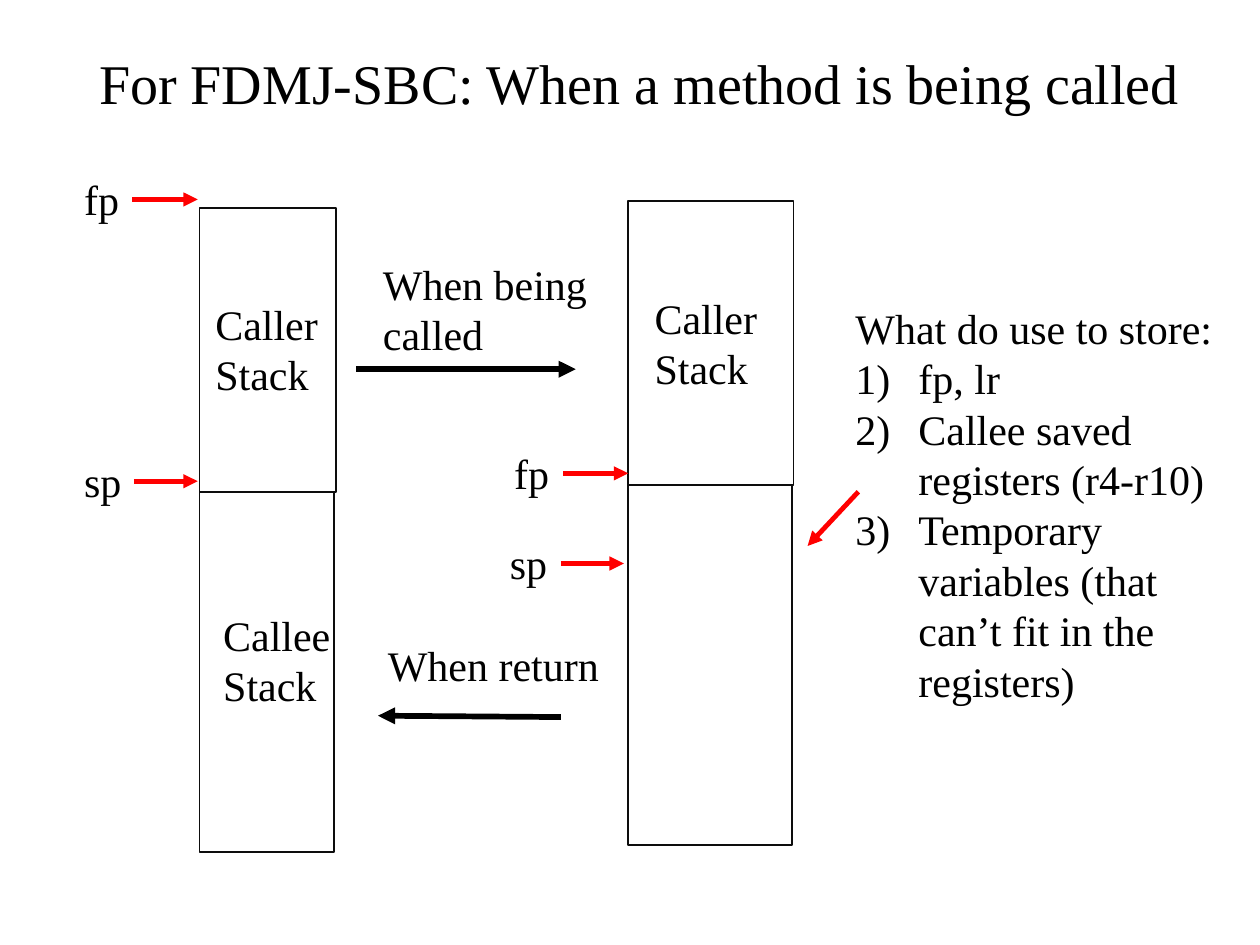
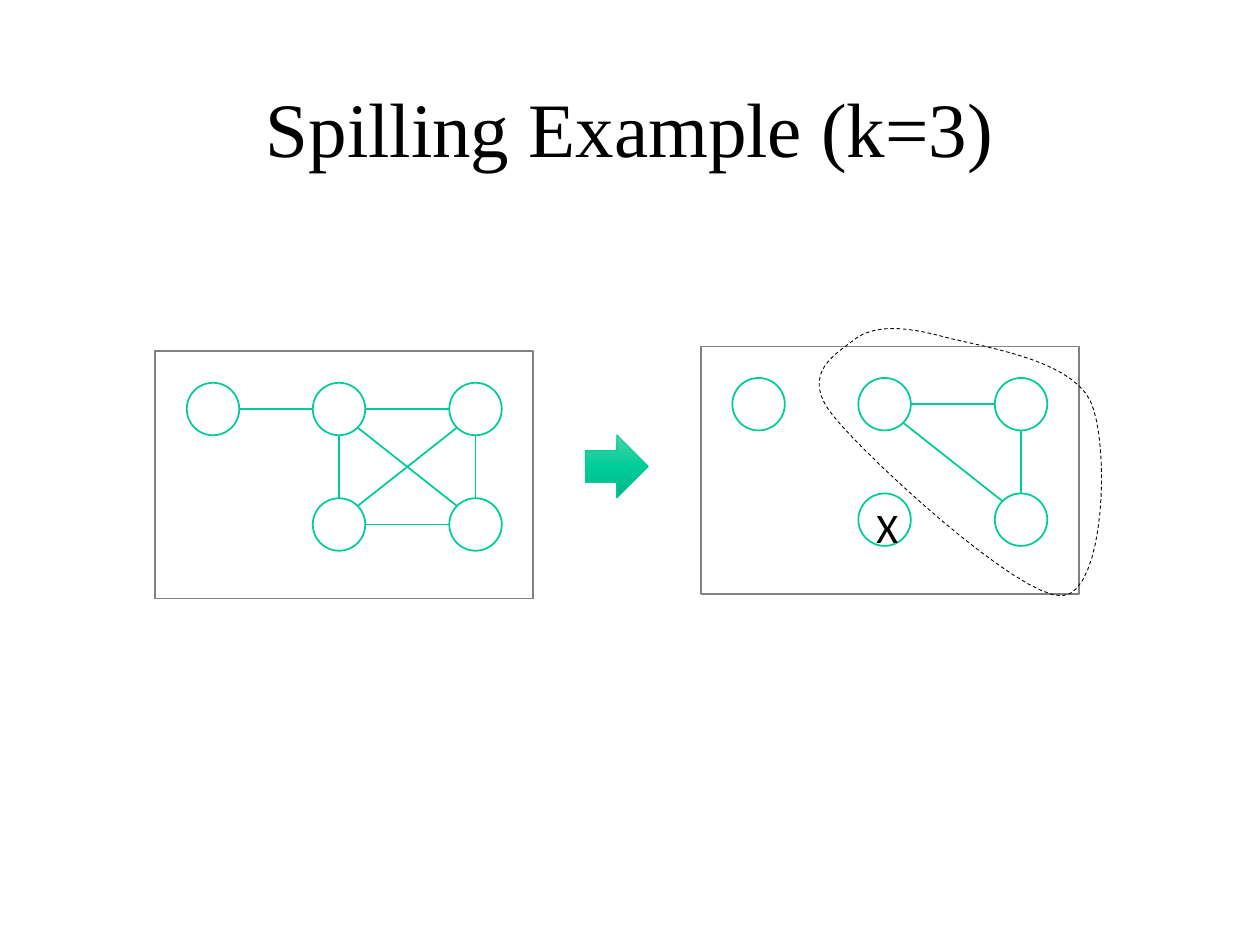
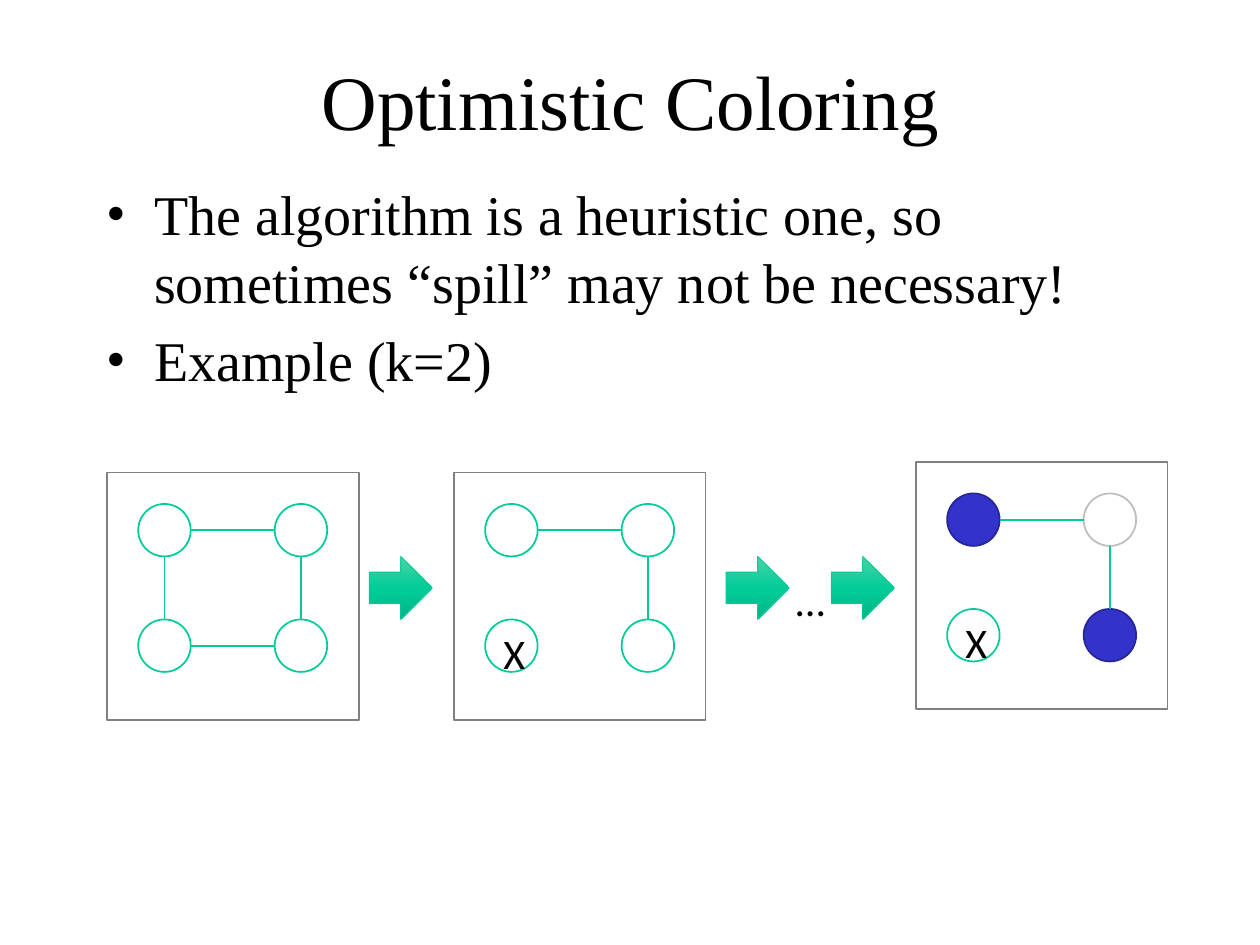
"""Build three slides on method calls, spilling and optimistic colouring."""
from copy import deepcopy
from dataclasses import dataclass
from math import copysign, hypot
from typing import Any, NamedTuple

from lxml import etree
from pptx import Presentation
from pptx.dml.color import RGBColor
from pptx.enum.dml import MSO_LINE
from pptx.enum.shapes import MSO_CONNECTOR, MSO_SHAPE
from pptx.enum.text import MSO_ANCHOR, MSO_AUTO_SIZE, PP_ALIGN
from pptx.oxml.ns import qn
from pptx.util import Pt

RECT = MSO_SHAPE.RECTANGLE
OVAL = MSO_SHAPE.OVAL
BLOCK_ARROW = MSO_SHAPE.RIGHT_ARROW
STRAIGHT = MSO_CONNECTOR.STRAIGHT
DASH = MSO_LINE.DASH
MIDDLE = MSO_ANCHOR.MIDDLE
GROW = MSO_AUTO_SIZE.SHAPE_TO_FIT_TEXT
FIXED = MSO_AUTO_SIZE.NONE
CENTER = PP_ALIGN.CENTER

COLORS = {
    "ink": "000000",
    "paper": "FFFFFF",
    "stack": "0D0D0D",
    "pointer": "FF0000",
    "panel": "808080",
    "graph": "00CC99",
    "graph_light": "4BD3A4",
    "graph_dark": "00B588",
    "blue": "3333CC",
    "blue_edge": "262697",
    "pale_edge": "BDBDBD",
}
SERIF = "Times New Roman"
SANS = "Calibri"
NODE_SIZE = 30
ROW_TOPS = (18, 84)
PANEL_HEIGHT = 141.25
CURVE_STEPS = 16


class Box(NamedTuple):
    left: float
    top: float
    width: float
    height: float


class Point(NamedTuple):
    x: float
    y: float


class Arrow(NamedTuple):
    start: Point
    end: Point
    color: str = "pointer"
    width: float = 2.75


class Paint(NamedTuple):
    fill: str
    edge: str


@dataclass(frozen=True)
class Note:
    box: Box
    lines: tuple[str, ...]
    size: float = 24
    font: str = SERIF
    wrap: bool = True
    grow: bool = True


@dataclass(frozen=True)
class Graph:
    left: float
    top: float
    width: float
    columns: tuple[float, ...]
    nodes: dict[str, tuple[int, int]]
    edges: tuple[str, ...]
    paints: dict[str, Paint]
    spilled: str = ""

    def corner(self, node: str) -> Point:
        column, row = self.nodes[node]
        return Point(self.left + self.columns[column], self.top + ROW_TOPS[row])


PLAIN_NODE = Paint("paper", "graph")
BLUE_NODE = Paint("blue", "blue_edge")
PALE_NODE = Paint("paper", "pale_edge")

SQUARE = {"a": (0, 0), "b": (1, 0), "c": (0, 1), "d": (1, 1)}
SQUARE_COLUMNS = (18, 96)
KITE = {"leaf": (0, 0), "a": (1, 0), "b": (2, 0), "c": (1, 1), "d": (2, 1)}
KITE_COLUMNS = (18, 90, 168)


def rgb(name: str) -> RGBColor:
    return RGBColor.from_string(COLORS[name])


def apply(target: Any, formats: dict[str, Any]) -> None:
    for attribute, value in formats.items():
        setattr(target, attribute, value)


def points(*lengths: float) -> tuple[Pt, ...]:
    return tuple(Pt(length) for length in lengths)


def outline(shape: Any, color: str, formats: dict[str, Any]) -> None:
    shape.line.color.rgb = rgb(color)
    apply(shape.line, formats)


def add_figure(slide: Any, kind: Any, box: Box, edge: str, fill: str = "", width: float = 1) -> Any:
    figure = slide.shapes.add_shape(kind, *points(*box))
    figure.shadow.inherit = False
    if fill:
        figure.fill.solid()
        figure.fill.fore_color.rgb = rgb(fill)
    else:
        figure.fill.background()
    outline(figure, edge, {"width": Pt(width)})
    return figure


def add_line(slide: Any, arrow: Arrow, pointed: bool = True) -> None:
    line = slide.shapes.add_connector(STRAIGHT, *points(*arrow.start, *arrow.end))
    outline(line, arrow.color, {"width": Pt(arrow.width)})
    properties = line._element.spPr
    if pointed:
        etree.SubElement(properties.find(qn("a:ln")), qn("a:tailEnd"), type="triangle")
    etree.SubElement(properties, qn("a:effectLst"))


def add_note(slide: Any, note: Note) -> Any:
    frame = slide.shapes.add_textbox(*points(*note.box)).text_frame
    frame.text = "\n".join(note.lines)
    apply(frame, {"word_wrap": note.wrap, "auto_size": GROW if note.grow else FIXED})
    for paragraph in frame.paragraphs:
        apply(paragraph.font, {"size": Pt(note.size), "name": note.font})
        paragraph.font.color.rgb = rgb("ink")
    return frame


def add_marker(paragraph: Any, indent: float, markers: dict[str, dict[str, str]]) -> None:
    properties = paragraph._p.get_or_add_pPr()
    properties.set("marL", str(Pt(indent)))
    properties.set("indent", str(-Pt(indent)))
    for tag, attributes in markers.items():
        marker = etree.Element(qn(tag), attributes)
        properties.insert_element_before(marker, "a:tabLst", "a:defRPr", "a:extLst")


def add_title(slide: Any, title: str, box: Box) -> None:
    frame = add_note(slide, Note(box, (title,), size=44, grow=False))
    frame.vertical_anchor = MIDDLE
    frame.paragraphs[0].alignment = CENTER


def add_block_arrow(slide: Any, left: float, top: float) -> None:
    arrow = add_figure(slide, BLOCK_ARROW, Box(left, top, 36, 36), "graph", width=0.5)
    arrow.fill.gradient()
    arrow.fill.gradient_angle = 270
    stop_list = arrow._element.spPr.find(".//" + qn("a:gsLst"))
    stop_list.insert(1, deepcopy(stop_list[0]))
    shades = ((0, "graph_light"), (0.5, "graph"), (1, "graph_dark"))
    for stop, (position, shade) in zip(arrow.fill.gradient_stops, shades):
        stop.position = position
        stop.color.rgb = rgb(shade)


def add_edge(slide: Any, first: Point, second: Point) -> None:
    radius = NODE_SIZE / 2
    across, down = (
        copysign(1, gap) if gap else 0 for gap in (second.x - first.x, second.y - first.y)
    )
    reach = radius / hypot(across, down)
    start = Point(first.x + radius + across * reach, first.y + radius + down * reach)
    end = Point(second.x + radius - across * reach, second.y + radius - down * reach)
    add_line(slide, Arrow(start, end, "graph", 1), pointed=False)


def add_graph(slide: Any, graph: Graph) -> None:
    panel = Box(graph.left, graph.top, graph.width, PANEL_HEIGHT)
    add_figure(slide, RECT, panel, "panel", "paper")
    for node in graph.nodes:
        paint = graph.paints.get(node, PLAIN_NODE)
        add_figure(slide, OVAL, Box(*graph.corner(node), NODE_SIZE, NODE_SIZE), paint.edge, paint.fill)
    for edge in graph.edges:
        first, second = edge.split("-")
        add_edge(slide, graph.corner(first), graph.corner(second))
    if graph.spilled:
        x, y = graph.corner(graph.spilled)
        add_note(slide, Note(Box(x + 3.25, y + 1, 26, 29), ("X",), font=SANS, wrap=False))


def add_loop(slide: Any, start: Point, curves: tuple[tuple[Point, Point, Point], ...]) -> None:
    trace = []
    origin = start
    for curve in curves:
        controls = (origin, *curve)
        for step in range(1, CURVE_STEPS + 1):
            t = step / CURVE_STEPS
            weights = ((1 - t) ** 3, 3 * t * (1 - t) ** 2, 3 * t**2 * (1 - t), t**3)
            trace.append(points(
                sum(w * c.x for w, c in zip(weights, controls)),
                sum(w * c.y for w, c in zip(weights, controls)),
            ))
        origin = curve[-1]
    builder = slide.shapes.build_freeform(*points(*start))
    builder.add_line_segments(trace, close=True)
    loop = builder.convert_to_shape()
    loop.shadow.inherit = False
    loop.fill.background()
    outline(loop, "ink", {"width": Pt(0.5), "dash_style": DASH})


def build_call_slide(slide: Any) -> None:
    stacks = (
        Box(114, 281, 77, 206),
        Box(114, 119, 78, 162),
        Box(359, 277, 93.5, 206),
        Box(359, 115, 94.5, 162),
    )
    for stack in stacks:
        add_figure(slide, RECT, stack, "stack")

    registers = (("fp", 41, 95.5), ("sp", 41, 256.5), ("fp", 286.75, 252), ("sp", 284.25, 303.5))
    for register, left, top in registers:
        add_note(slide, Note(Box(left, top, 40, 36), (register,)))

    labels = (
        Note(Box(116, 167, 78, 65.5), ("Caller Stack",)),
        Note(Box(120.5, 344.5, 78, 65.5), ("Callee Stack",)),
        Note(Box(367, 163.5, 77, 65.5), ("Caller Stack",)),
        Note(Box(211.75, 144, 135, 65.5), ("When being called",)),
        Note(Box(214.5, 362, 135, 36), ("When return",)),
        Note(Box(49.5, 24, 650, 36), ("For FDMJ-SBC: When a method is being called",), 32, grow=False),
    )
    for label in labels:
        add_note(slide, label)

    arrows = (
        Arrow(Point(75.5, 114), Point(113, 114)),
        Arrow(Point(76.5, 275), Point(113, 275)),
        Arrow(Point(322, 270.5), Point(359, 270.5)),
        Arrow(Point(320.5, 322), Point(356.5, 322)),
        Arrow(Point(490.5, 281), Point(461.5, 312)),
        Arrow(Point(203.5, 211), Point(329, 211), "ink", 3.25),
        Arrow(Point(320.5, 409.75), Point(216, 409), "ink", 3.25),
    )
    for arrow in arrows:
        add_line(slide, arrow)

    storage = add_note(slide, Note(Box(481.75, 169.25, 222.5, 269), (
        "What do use to store:",
        "fp, lr",
        "Callee saved registers (r4-r10)",
        "Temporary variables (that can’t fit in the registers)",
    )))
    for item in storage.paragraphs[1:]:
        add_marker(item, 36, {"a:buAutoNum": {"type": "arabicParenR"}})


def build_spilling_slide(slide: Any) -> None:
    add_title(slide, "Spilling Example (k=3)", Box(54, 42.5, 612, 60))
    before = ("leaf-a", "a-b", "a-c", "c-b", "a-d", "b-d", "c-d")
    after = ("a-b", "a-d", "b-d")
    add_graph(slide, Graph(88.75, 200.75, 216, KITE_COLUMNS, KITE, before, {}))
    add_block_arrow(slide, 334.5, 248.5)
    add_graph(slide, Graph(400.5, 198, 216, KITE_COLUMNS, KITE, after, {}, "c"))
    add_loop(slide, Point(535.5, 191.5), (
        (Point(513.5, 186), Point(499, 186.5), Point(489, 193.5)),
        (Point(479, 201.5), Point(456, 213), Point(476, 237.5)),
        (Point(495.5, 262), Point(582.5, 342), Point(607, 340.5)),
        (Point(631.5, 339), Point(634.5, 253.5), Point(623, 229)),
        (Point(610.5, 204), Point(558, 198), Point(535.5, 191.5)),
    ))


def build_optimistic_slide(slide: Any) -> None:
    add_title(slide, "Optimistic Coloring", Box(54.5, 24, 612, 66))
    remarks = add_note(slide, Note(Box(54, 99.25, 612, 120), (
        "The algorithm is a heuristic one, so sometimes “spill” may not be necessary!",
        "Example (k=2)",
    ), size=32, grow=False))
    for remark in remarks.paragraphs:
        remark.space_before = Pt(6.4)
        add_marker(remark, 27, {"a:buFont": {"typeface": SERIF}, "a:buChar": {"char": "•"}})

    cycle = ("a-b", "a-c", "b-d", "c-d")
    path_edges = ("a-b", "b-d")
    coloring = {"a": BLUE_NODE, "b": PALE_NODE, "d": BLUE_NODE}
    stages = (
        Graph(61, 270, 144, SQUARE_COLUMNS, SQUARE, cycle, {}),
        Graph(259.25, 270, 144, SQUARE_COLUMNS, SQUARE, path_edges, {}, "c"),
        Graph(523.25, 264, 144, SQUARE_COLUMNS, SQUARE, path_edges, coloring, "c"),
    )
    for stage in stages:
        add_graph(slide, stage)
    for left in (211, 415, 475):
        add_block_arrow(slide, left, 318)
    add_note(slide, Note(Box(447.75, 324.5, 32.5, 29), ("…",), font=SANS, wrap=False))


def main() -> None:
    deck = Presentation()
    apply(deck, {"slide_width": Pt(720), "slide_height": Pt(540)})
    blank = deck.slide_layouts[6]
    for build in (build_call_slide, build_spilling_slide, build_optimistic_slide):
        build(deck.slides.add_slide(blank))
    deck.save("out.pptx")


if __name__ == "__main__":
    main()
